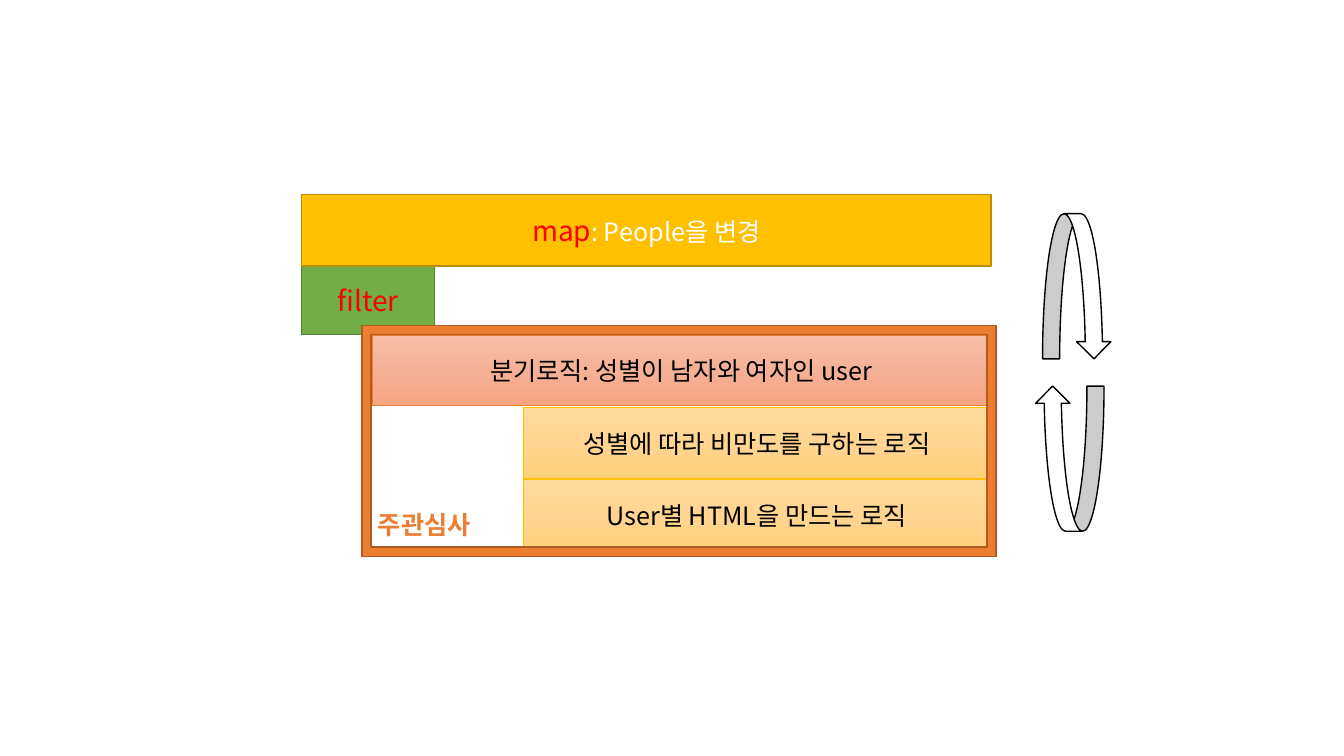
import copy

import pptx
import pptx.dml.color
import pptx.enum.shapes
import pptx.enum.text
import pptx.oxml
import pptx.oxml.ns
import pptx.util

Inches = pptx.util.Inches
Pt = pptx.util.Pt
Kind = pptx.enum.shapes.MSO_SHAPE
Align = pptx.enum.text.PP_ALIGN

HUES = {
    "white": "FFFFFF", "black": "000000", "red": "FF0000",
    "green": "70AD47", "moss": "538035",
    "gold": "FFC000", "ochre": "BD8E00",
    "orange": "ED7D31", "rust": "AF5C24",
}
PEACH = ("F7BDA5", "F5B196", "F8A582")
AMBER = ("FFDB9E", "FFD590", "FFD07C")


def rgb(hue):
    return pptx.dml.color.RGBColor.from_string(HUES.get(hue, hue))


class Board:
    font = "Noto Sans CJK KR"

    def __init__(self, slide):
        self.slide = slide

    def shape(self, kind, box, fill, line, width=1, home=None):
        shapes = (home or self.slide).shapes
        item = shapes.add_shape(kind, *map(Inches, box))
        item.shadow.inherit = False
        if isinstance(fill, tuple):
            self.fade(item, fill)
        else:
            item.fill.solid()
            item.fill.fore_color.rgb = rgb(fill)
        item.line.color.rgb = rgb(line)
        item.line.width = Pt(width)
        return item

    def fade(self, item, hues):
        """Fill from top to bottom with evenly spaced colours."""
        item.fill.gradient()
        item.fill.gradient_angle = 270
        tag = pptx.oxml.ns.qn("a:gsLst")
        stops = next(item.element.iter(tag))
        stops.insert(1, copy.deepcopy(stops[0]))
        for i, stop in enumerate(item.fill.gradient_stops):
            stop.position = i / (len(hues) - 1)
            stop.color.rgb = rgb(hues[i])

    def style(self, para, parts, bold=False):
        for text, size, hue in parts:
            run = para.add_run()
            run.text = text
            run.font.size = Pt(size)
            run.font.bold = bold
            run.font.color.rgb = rgb(hue)
            run.font.name = self.font
            east = pptx.oxml.parse_xml(
                f'<a:ea {pptx.oxml.ns.nsdecls("a")} typeface="{self.font}"/>')
            run.font._element.append(east)

    def block(self, box, fill, line, width, *parts):
        item = self.shape(Kind.RECTANGLE, box, fill, line, width)
        frame = item.text_frame
        frame.vertical_anchor = pptx.enum.text.MSO_ANCHOR.MIDDLE
        frame.paragraphs[0].alignment = Align.CENTER
        self.style(frame.paragraphs[0], parts)

    def label(self, box, *parts):
        frame = self.slide.shapes.add_textbox(*map(Inches, box)).text_frame
        frame.word_wrap = False
        frame.auto_size = pptx.enum.text.MSO_AUTO_SIZE.SHAPE_TO_FIT_TEXT
        self.style(frame.paragraphs[0], parts, bold=True)


deck = pptx.Presentation()
deck.slide_width = Inches(13.33)
deck.slide_height = Inches(7.5)
board = Board(deck.slides.add_slide(deck.slide_layouts[6]))

# Outer steps
board.block((2.99, 2.63, 1.32, 0.69), "green", "moss", 1,
            ("filter", 20, "red"))
board.block((2.99, 1.93, 6.84, 0.71), "gold", "ochre", 1,
            ("map", 20, "red"), (": People을 변경", 18, "white"))

# Core logic
board.block((3.69, 3.33, 6.13, 0.69), PEACH, "orange", 0.5,
            ("분기로직: 성별이 남자와 여자인 user", 18, "black"))
tasks = ("성별에 따라 비만도를 구하는 로직", "User별 HTML을 만드는 로직")
for i, task in enumerate(tasks):
    board.block((5.19, 4.04 + 0.72 * i, 4.63, 0.71), AMBER, "gold", 0.5,
                (task, 18, "black"))

# Cycle arrows
cycle = board.slide.shapes.add_group_shape()
for left, top, turn in ((10.27, 3.83, 180), (10.34, 2.12, 0)):
    arrow = board.shape(Kind.CURVED_DOWN_ARROW, (left, top, 0.68, 1.44),
                        "white", "black", home=cycle)
    arrow.rotation = turn

# Focus frame and its label
focus = board.shape(Kind.FRAME, (3.59, 3.23, 6.29, 2.29), "orange", "rust")
focus.adjustments[0] = 0.04
board.label((3.65, 5, 1.21, 0.4), ("주관심사", 18, "orange"))

deck.save("out.pptx")
